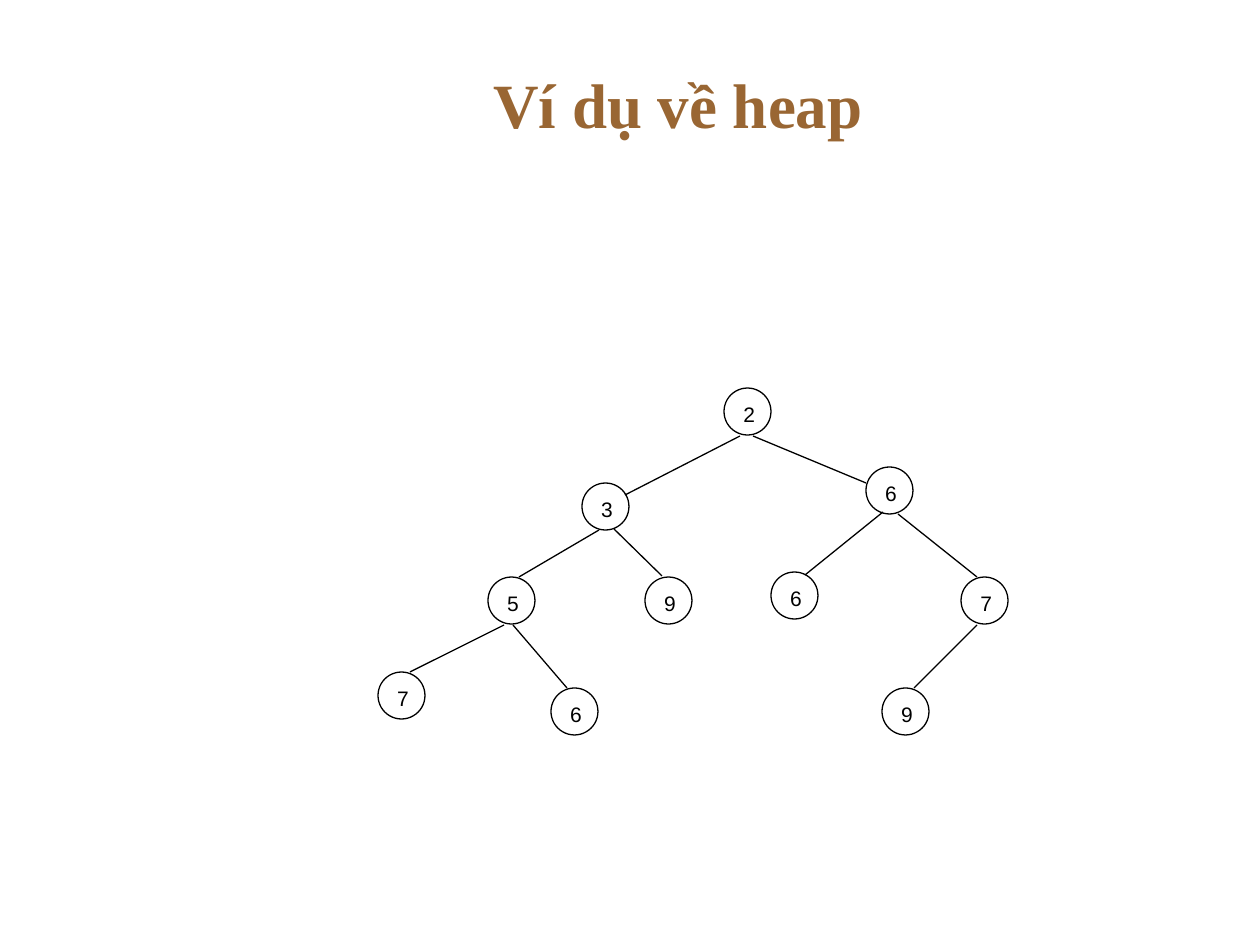
from lxml.etree import SubElement
from pptx import Presentation
from pptx.dml.color import RGBColor
from pptx.enum.shapes import MSO_CONNECTOR, MSO_SHAPE
from pptx.enum.text import MSO_ANCHOR, PP_ALIGN
from pptx.oxml.ns import qn
from pptx.util import Emu, Pt

COLORS = {"title": "996633", "ink": "000000", "node": "FFFFFF"}
NODE_SIZE = 47

# Heap nodes: value, left, top
NODES = [
    ("2", 724, 388),
    ("3", 582, 483), ("6", 866, 467),
    ("5", 488, 577), ("9", 645, 577), ("6", 771, 572), ("7", 961, 577),
    ("7", 378, 672), ("6", 551, 688), ("9", 882, 688),
]

# Heap edges: parent end, child end
EDGES = [
    ((740, 436), (625, 495)), ((753, 436), (866, 483)),
    ((599, 530), (519, 577)), ((614, 529), (662, 576)),
    ((883, 512), (805, 575)), ((898, 514), (977, 577)),
    ((504, 625), (410, 672)), ((513, 625), (567, 688)),
    ((977, 625), (914, 688)),
]


def px(n):
    return Emu(round(n * 914400 / 126))


def color(name):
    return RGBColor.from_string(COLORS[name])


def set_text(s, text, font, size, ink, align, anchor, bold=False):
    tf = s.text_frame
    tf.text = text
    tf.word_wrap = True
    tf.vertical_anchor = anchor
    p = tf.paragraphs[0]
    p.alignment = align
    r = p.runs[0]
    r.font.name = font
    r.font.size = Pt(size)
    r.font.bold = bold
    r.font.color.rgb = color(ink)


def set_line(s):
    s.line.color.rgb = color("ink")
    s.line.width = Pt(0.75)


def add_title(shapes, text):
    s = shapes.add_textbox(px(158), px(38), px(1040), px(130))
    set_text(s, text, "Times New Roman", 36, "title",
             PP_ALIGN.CENTER, MSO_ANCHOR.MIDDLE, bold=True)


def add_node(shapes, value, left, top):
    s = shapes.add_shape(MSO_SHAPE.OVAL, px(left), px(top),
                         px(NODE_SIZE), px(NODE_SIZE))
    s.shadow.inherit = False
    s.fill.solid()
    s.fill.fore_color.rgb = color("node")
    set_line(s)
    set_text(s, value, "Arial", 12, "ink", PP_ALIGN.LEFT, MSO_ANCHOR.TOP)


def add_edge(shapes, start, end):
    s = shapes.add_connector(MSO_CONNECTOR.STRAIGHT,
                             *map(px, start), *map(px, end))
    set_line(s)
    SubElement(s._element.spPr, qn("a:effectLst"))


def main():
    prs = Presentation()
    prs.slide_width, prs.slide_height = px(1260), px(945)
    slide = prs.slides.add_slide(prs.slide_layouts[6])

    add_title(slide.shapes, "Ví dụ về heap")

    # Heap tree
    tree = slide.shapes.add_group_shape().shapes
    for node in NODES:
        add_node(tree, *node)
    for edge in EDGES:
        add_edge(tree, *edge)

    prs.save("out.pptx")


if __name__ == "__main__":
    main()
